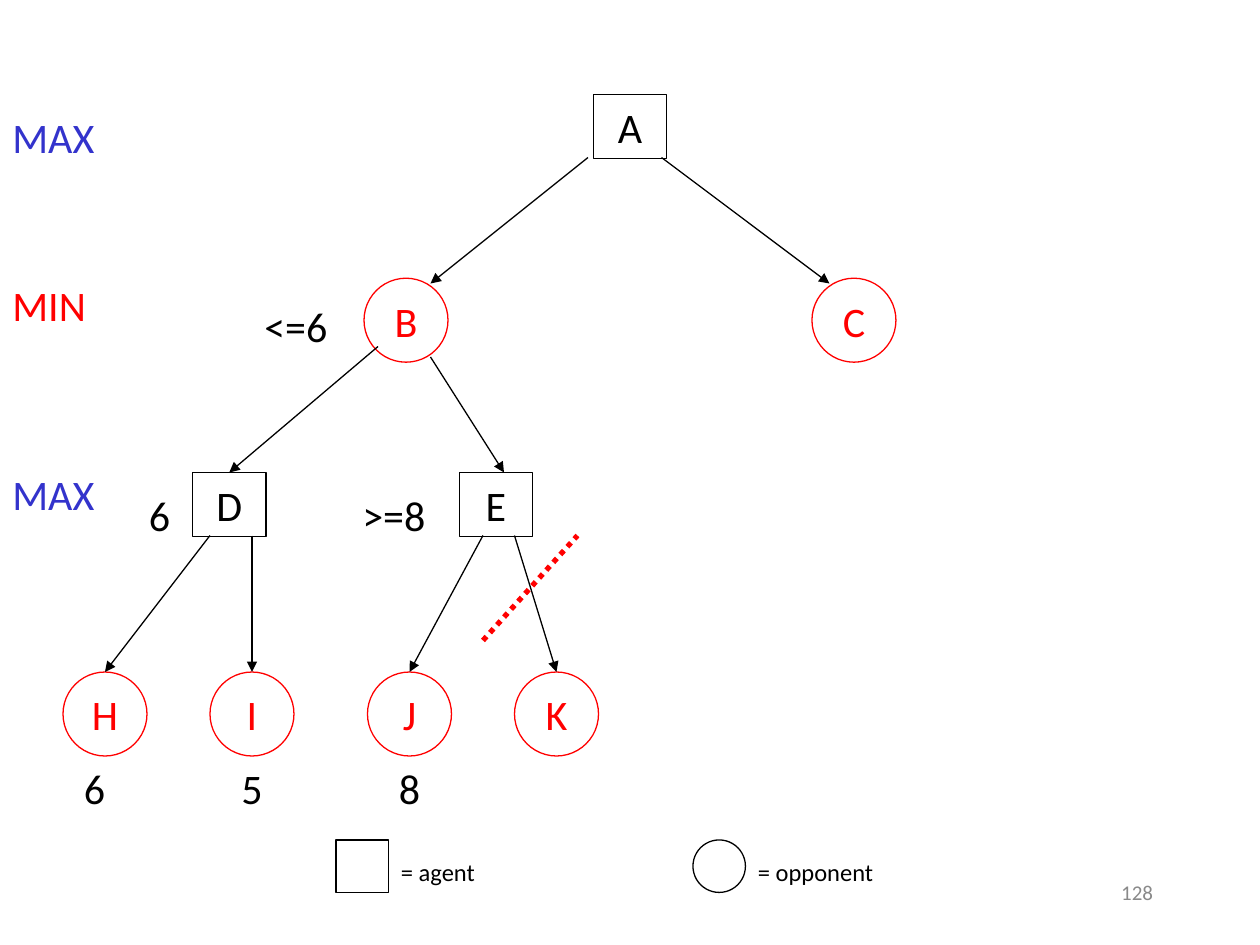
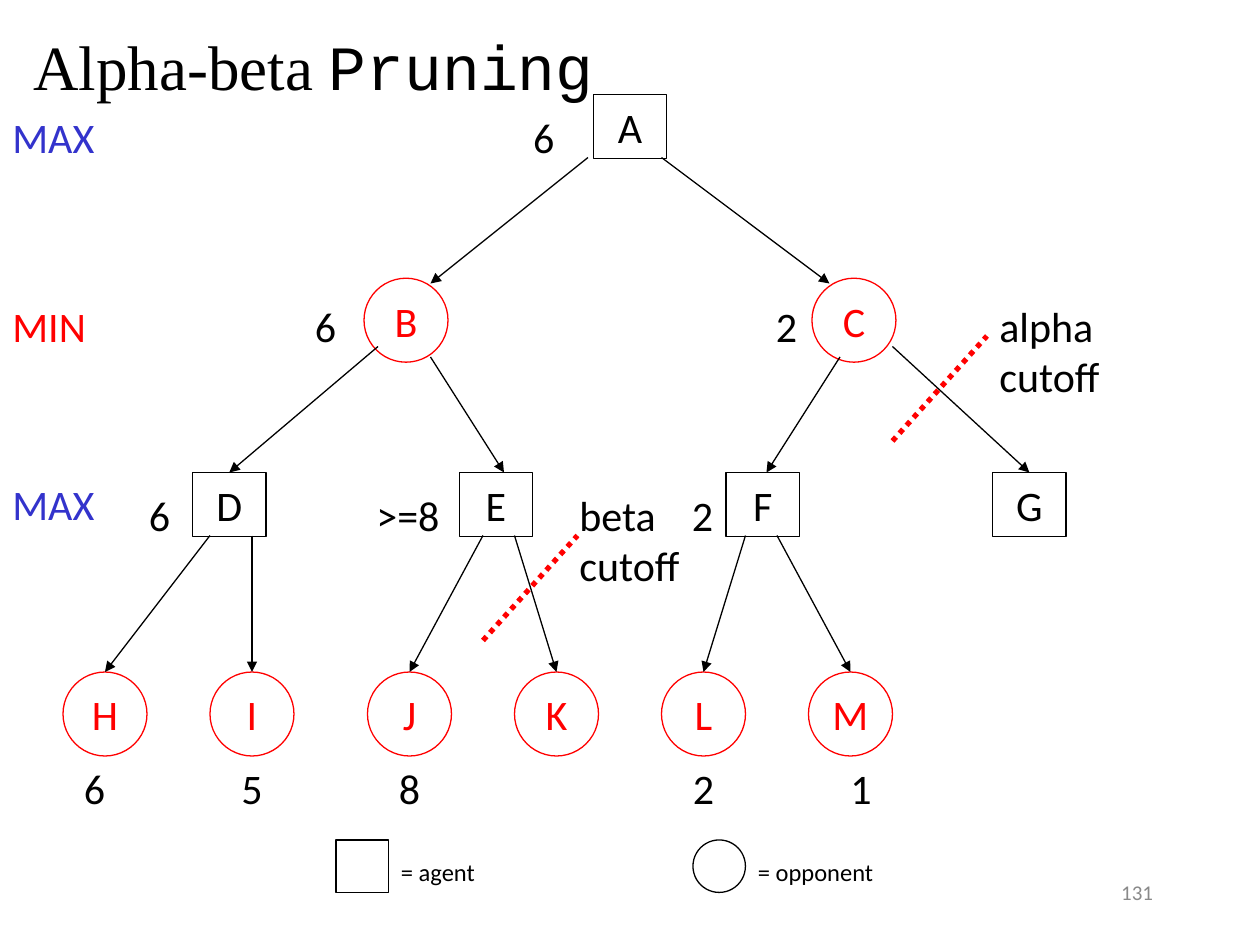
from typing import NamedTuple, Optional

from lxml import etree
from pptx import Presentation
from pptx.dml.color import RGBColor
from pptx.enum.dml import MSO_LINE
from pptx.enum.shapes import MSO_CONNECTOR, MSO_SHAPE
from pptx.enum.text import MSO_ANCHOR, PP_ALIGN
from pptx.oxml.ns import qn
from pptx.util import Inches, Pt

BLACK = RGBColor(0x00, 0x00, 0x00)
RED = RGBColor(0xFF, 0x00, 0x00)
BLUE = RGBColor(0x33, 0x33, 0xCC)
GREY = RGBColor(0x89, 0x89, 0x89)

LEFT, CENTER, RIGHT = PP_ALIGN.LEFT, PP_ALIGN.CENTER, PP_ALIGN.RIGHT
TOP, MIDDLE = MSO_ANCHOR.TOP, MSO_ANCHOR.MIDDLE
SQUARE, CIRCLE = MSO_SHAPE.RECTANGLE, MSO_SHAPE.OVAL
STRAIGHT = MSO_CONNECTOR.STRAIGHT
DOTTED = MSO_LINE.ROUND_DOT
TOP_SITE = 0

SLIDE_WIDTH = Inches(10)
SLIDE_HEIGHT = Inches(7.5)
COLUMN = SLIDE_WIDTH / 120
ROW = SLIDE_HEIGHT / 90
BLANK_LAYOUT = 6
BODY_FONT = "Calibri"
THIN, THICK = 0.75, 3

AGENT_SIZE = (7, 6.1)
OPPONENT_SIZE = (8, 8)
KEY_SIZE = (5, 5)
AGENT_PITCH = 25.4
VALUE_ROW = 72


class Point(NamedTuple):
    column: float
    row: float


class Node(NamedTuple):
    name: str
    kind: MSO_SHAPE
    center: float
    top: float


class Edge(NamedTuple):
    child: str
    start: Point
    end: Optional[Point] = None


class Label(NamedTuple):
    text: str
    column: float
    row: float
    width: float
    height: float = 6
    color: RGBColor = BLACK
    align: PP_ALIGN = LEFT
    size: float = 24
    anchor: MSO_ANCHOR = TOP


class Tree(NamedTuple):
    page: str
    names: str
    labels: list[Label]
    cutoffs: list[Point]
    title: tuple[tuple[str, str], ...] = ()


NODES = [
    Node("A", SQUARE, 60, 9),
    Node("B", CIRCLE, 38.67, 26.5),
    Node("C", CIRCLE, 81.33, 26.5),
    *(Node(name, SQUARE, 21.84 + AGENT_PITCH * index, 45)
      for index, name in enumerate("DEFG")),
    *(Node(name, CIRCLE, center, 64)
      for name, center in zip("HIJKLM", (10, 24, 39, 53, 67, 81))),
]

EDGES = [
    Edge("B", Point(56, 15), Point(41, 27)),
    Edge("C", Point(63, 15), Point(79, 27)),
    Edge("D", Point(36, 33)),
    Edge("E", Point(41, 34), Point(48, 45)),
    Edge("F", Point(80, 34), Point(73, 45)),
    Edge("G", Point(85, 33)),
    *(Edge(name, Point(column, 51))
      for name, column in zip("HIJKLM", (20, 24, 46, 49, 71, 74))),
]


def leaf_value(text: str, center: float) -> Label:
    return Label(text, center - 6, VALUE_ROW, 12, align=CENTER)


SHARED_LABELS = [
    Label("MAX", 0, 10, 13, color=BLUE),
    Label("6", 13, 46, 14),
    leaf_value("6", 9),
    leaf_value("5", 24),
    leaf_value("8", 39),
    Label("= agent", 37, 81, 22, 4, size=14),
    Label("= opponent", 71, 81, 22, 4, size=14),
]

KEYS = [(SQUARE, Point(32, 80)), (CIRCLE, Point(66, 80))]
BETA_CUTOFF = Point(46, 61)
ALPHA_CUTOFF = Point(85, 42)

TREES = [
    Tree(
        page="128",
        names="ABCDEHIJK",
        labels=[
            Label("MIN", 0, 26, 13, color=RED),
            Label("MAX", 0, 44, 13, color=BLUE),
            Label("<=6", 24, 28, 17),
            Label(">=8", 33.33, 46, 17.67),
        ],
        cutoffs=[BETA_CUTOFF],
    ),
    Tree(
        page="131",
        names="ABCDEFGHIJKLM",
        labels=[
            Label("MIN", 0, 28, 13, color=RED),
            Label("MAX", 0, 45, 13, color=BLUE),
            Label("6", 49.6, 10, 10),
            Label("6", 28.8, 28, 12),
            Label("2", 68.9, 28, 12, align=CENTER),
            Label(">=8", 34.67, 46, 16.33),
            Label("2", 60.9, 46, 12, align=CENTER),
            leaf_value("2", 67),
            leaf_value("1", 82),
            Label("beta cutoff", 54, 46, 13, 8.4),
            Label("alpha cutoff", 94, 28, 13, 8.4),
        ],
        cutoffs=[BETA_CUTOFF, ALPHA_CUTOFF],
        title=(("Alpha-beta ", "Times New Roman"), ("Pruning", "Courier New")),
    ),
]


def across(columns: float) -> int:
    return round(columns * COLUMN)


def down(rows: float) -> int:
    return round(rows * ROW)


def write_text(shape, text: str, *, size: float = 24, color: RGBColor = BLACK,
               font: str = BODY_FONT, align: PP_ALIGN = LEFT,
               anchor: MSO_ANCHOR = TOP) -> None:
    frame = shape.text_frame
    frame.word_wrap = True
    frame.vertical_anchor = anchor
    paragraph = frame.paragraphs[0]
    paragraph.alignment = align
    run = paragraph.add_run()
    run.text = text
    run.font.name = font
    run.font.size = Pt(size)
    run.font.color.rgb = color


def add_text_box(slide, column: float, row: float, width: float, height: float):
    return slide.shapes.add_textbox(
        across(column), down(row), across(width), down(height))


def add_label(slide, label: Label) -> None:
    box = add_text_box(slide, label.column, label.row, label.width, label.height)
    write_text(box, label.text, size=label.size, color=label.color,
               align=label.align, anchor=label.anchor)


def add_outline(slide, kind: MSO_SHAPE, corner: Point,
                size: tuple[float, float], color: RGBColor):
    width, height = size
    shape = slide.shapes.add_shape(
        kind, across(corner.column), down(corner.row), across(width), down(height))
    shape.shadow.inherit = False
    shape.fill.background()
    shape.line.color.rgb = color
    shape.line.width = Pt(THIN)
    return shape


def add_node(slide, node: Node):
    size, color = ((AGENT_SIZE, BLACK) if node.kind == SQUARE
                   else (OPPONENT_SIZE, RED))
    corner = Point(node.center - size[0] / 2, node.top)
    shape = add_outline(slide, node.kind, corner, size, color)
    frame = shape.text_frame
    frame.margin_left = frame.margin_right = 0
    frame.margin_top = frame.margin_bottom = 0
    write_text(shape, node.name, color=color, align=CENTER, anchor=MIDDLE)
    return shape


def add_line(slide, start: Point, end: Point, color: RGBColor, width: float):
    connector = slide.shapes.add_connector(
        STRAIGHT, across(start.column), down(start.row),
        across(end.column), down(end.row))
    connector.line.color.rgb = color
    connector.line.width = Pt(width)
    etree.SubElement(connector._element.spPr, qn("a:effectLst"))
    return connector


def add_edge(slide, edge: Edge, child) -> None:
    connector = add_line(slide, edge.start, edge.end or edge.start, BLACK, THIN)
    if edge.end is None:
        connector.end_connect(child, TOP_SITE)
    etree.SubElement(connector.line._get_or_add_ln(), qn("a:tailEnd"),
                     type="triangle")


def add_cutoff(slide, start: Point) -> None:
    end = Point(start.column + 9, start.row - 10)
    add_line(slide, start, end, RED, THICK).line.dash_style = DOTTED


def add_tree(presentation, tree: Tree) -> None:
    slide = presentation.slides.add_slide(presentation.slide_layouts[BLANK_LAYOUT])
    shapes = {node.name: add_node(slide, node)
              for node in NODES if node.name in tree.names}
    for edge in EDGES:
        if edge.child in shapes:
            add_edge(slide, edge, shapes[edge.child])
    for kind, corner in KEYS:
        add_outline(slide, kind, corner, KEY_SIZE, BLACK)
    for start in tree.cutoffs:
        add_cutoff(slide, start)
    page = Label(tree.page, 86, 82, 25, color=GREY, align=RIGHT, size=12,
                 anchor=MIDDLE)
    for label in [*SHARED_LABELS, *tree.labels, page]:
        add_label(slide, label)
    if tree.title:
        title = add_text_box(slide, 2, 2, 75.4, 8.5)
        for text, font in tree.title:
            write_text(title, text, size=36, font=font)


def main() -> None:
    presentation = Presentation()
    presentation.slide_width = SLIDE_WIDTH
    presentation.slide_height = SLIDE_HEIGHT
    for tree in TREES:
        add_tree(presentation, tree)
    presentation.save("out.pptx")


if __name__ == "__main__":
    main()
